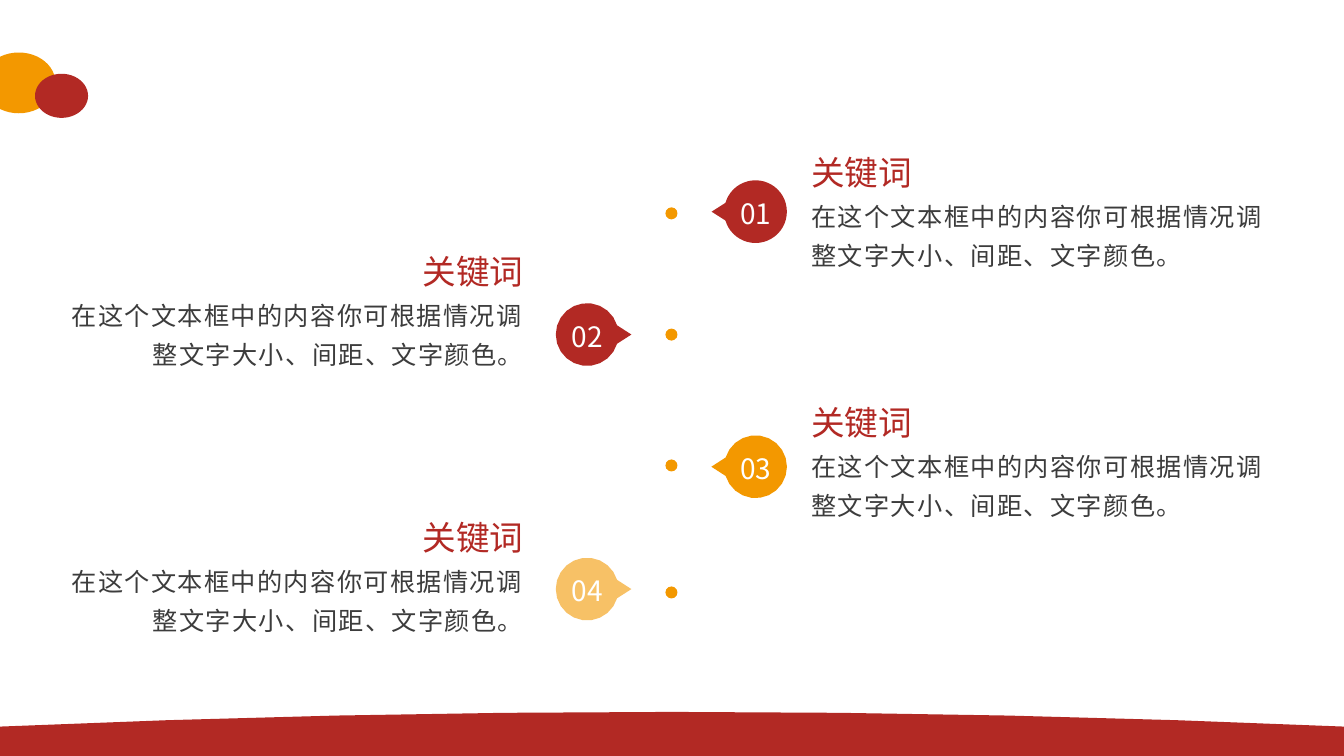
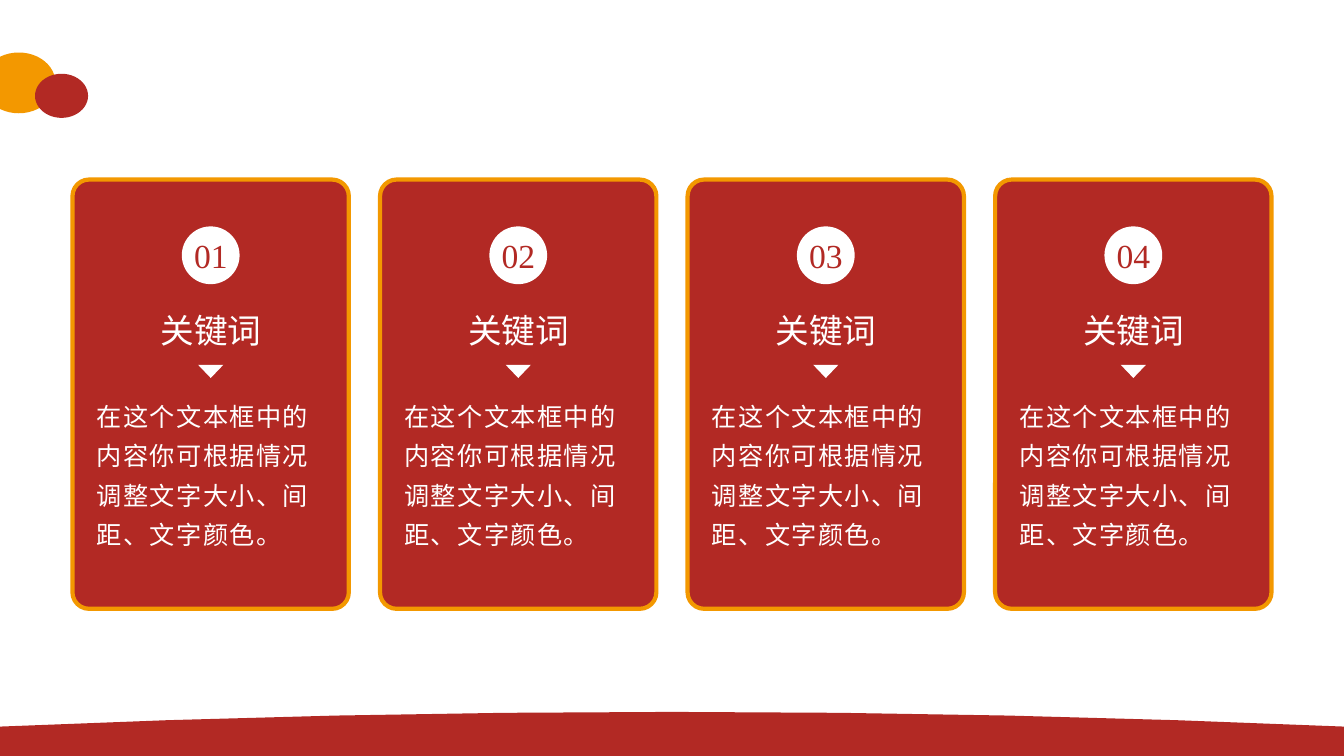
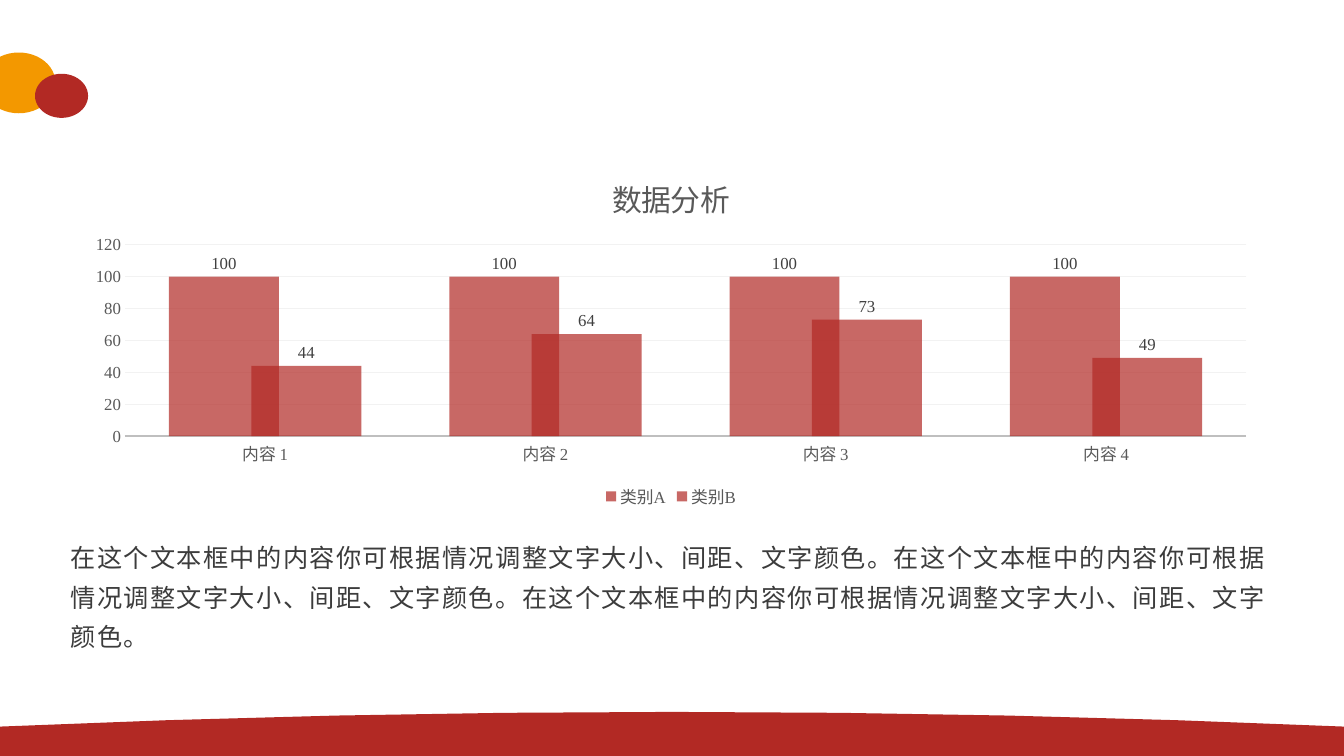
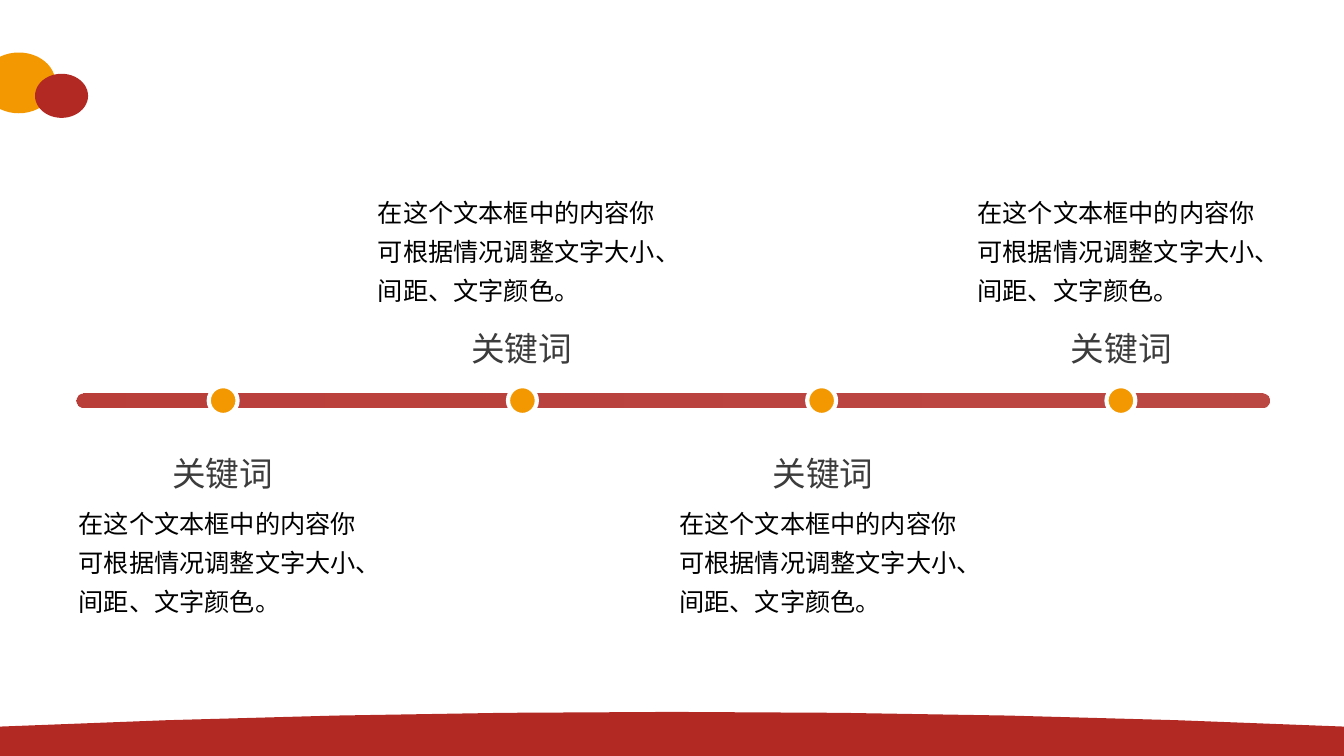
from math import cos, radians, sin

from lxml import etree
from pptx import Presentation
from pptx.chart.data import CategoryChartData
from pptx.dml.color import RGBColor
from pptx.enum.chart import XL_CHART_TYPE, XL_LABEL_POSITION, XL_LEGEND_POSITION, XL_TICK_MARK
from pptx.enum.shapes import MSO_SHAPE
from pptx.enum.text import MSO_AUTO_SIZE, PP_ALIGN
from pptx.oxml.ns import qn
from pptx.util import Pt

OVAL = MSO_SHAPE.OVAL
TRIANGLE = MSO_SHAPE.ISOSCELES_TRIANGLE
ROUNDED = MSO_SHAPE.ROUNDED_RECTANGLE
LEFT, CENTER, RIGHT = PP_ALIGN.LEFT, PP_ALIGN.CENTER, PP_ALIGN.RIGHT
NO_TICK = XL_TICK_MARK.NONE
OUTSIDE_END = XL_LABEL_POSITION.OUTSIDE_END
rgb = RGBColor.from_string

RED = "B22924"
ORANGE = "F39800"
WHITE = "FFFFFF"
BLACK = "000000"
DARK = "3C3C3C"
LABEL_GRAY = "404040"
AXIS_GRAY = "595959"
AXIS_LINE = "BFBFBF"
GRID_LINE = "F2F2F2"

SANS = "Noto Sans CJK SC"
BODY_FONT = "Arial"
SERIF = "Times New Roman"

KEYWORD = "关键词"
BODY = "在这个文本框中的内容你可根据情况调整文字大小、间距、文字颜色。"
WIDTH, HEIGHT = 960, 540


def paint(item, color, opacity=100, border=None):
    """Fill a shape or a chart format, with a 3 pt border or none, and no shadow."""
    item.fill.solid()
    item.fill.fore_color.rgb = rgb(color)
    if opacity < 100:
        solid_color = item.element.find(".//" + qn("a:solidFill") + "/" + qn("a:srgbClr"))
        etree.SubElement(solid_color, qn("a:alpha"), val=str(opacity * 1000))
    if border:
        item.line.color.rgb = rgb(border)
        item.line.width = Pt(3)
    else:
        item.line.fill.background()
    if hasattr(item, "shadow"):
        item.shadow.inherit = False


def add_text(slide, left, top, width, height, text, size, color, font,
             align=LEFT, line_spacing=None, tracking=0):
    box = slide.shapes.add_textbox(Pt(left), Pt(top), Pt(width), Pt(height))
    frame = box.text_frame
    frame.word_wrap = True
    frame.auto_size = MSO_AUTO_SIZE.SHAPE_TO_FIT_TEXT
    paragraph = frame.paragraphs[0]
    paragraph.alignment = align
    if line_spacing:
        paragraph.line_spacing = line_spacing
    run = paragraph.add_run()
    run.text = text
    run.font.size = Pt(size)
    run.font.color.rgb = rgb(color)
    run.font.name = font
    properties = run.font._element
    etree.SubElement(properties, qn("a:ea"), typeface=SANS)
    if tracking:
        properties.set("spc", str(tracking * 100))


presentation = Presentation()
presentation.slide_width = Pt(WIDTH)
presentation.slide_height = Pt(HEIGHT)
blank = presentation.slide_layouts[6]
for placeholder in list(blank.placeholders):
    blank.shapes.element.remove(placeholder.element)

bubble_slide, card_slide, chart_slide, timeline_slide = [
    presentation.slides.add_slide(blank) for _ in range(4)]

# Shared decoration: drawn once, then moved to the layout
large_dot = bubble_slide.shapes.add_shape(OVAL, Pt(-12.8), Pt(37.5), Pt(52.5), Pt(43.4))
small_dot = bubble_slide.shapes.add_shape(OVAL, Pt(25), Pt(52.7), Pt(37.9), Pt(31.5))

HILL_TOP, HILL_RISE, HILL_STEP = 508.5, 10.5, 120
hill_points = []
for x in range(0, WIDTH + 1, HILL_STEP):
    offset = (x - WIDTH / 2) / (WIDTH / 2)
    hill_points.append((Pt(x), Pt(HILL_TOP + HILL_RISE * offset ** 2)))
builder = bubble_slide.shapes.build_freeform(Pt(0), Pt(HEIGHT))
builder.add_line_segments(hill_points + [(Pt(WIDTH), Pt(HEIGHT))])
hill = builder.convert_to_shape()

for shape, color in ((large_dot, ORANGE), (small_dot, RED), (hill, RED)):
    paint(shape, color)
    blank.shapes.element.append(shape.element)

# Slide 1: numbered bubbles on both sides of a column of dots
RADIUS, TIP = 22.4, 31.6
DOT = 8.6
ARC_START, ARC_STEPS = 17, 20
ARC_STEP = (360 - 2 * ARC_START) / ARC_STEPS
sides = {
    # direction of the tip, bubble centre, heading left, body left, alignment
    "right": (-1, 539.7, 572.4, 572.4, LEFT),
    "left": (1, 419.4, 223.9, 31, RIGHT),
}
bubbles = [
    # number, side, bubble centre, dot centre, heading top, colour, opacity, one outline
    ("01", "right", 151.2, 152.4, 105, RED, 100, False),
    ("02", "left", 239, 239, 175.7, RED, 100, True),
    ("03", "right", 333.4, 332.5, 283.9, ORANGE, 100, True),
    ("04", "left", 420.8, 423.2, 365.8, ORANGE, 60, True),
]
for number, side, center_y, dot_y, heading_top, color, opacity, one_outline in bubbles:
    direction, center_x, heading_left, body_left, align = sides[side]
    dot = bubble_slide.shapes.add_shape(
        OVAL, Pt(479.6 - DOT / 2), Pt(dot_y - DOT / 2), Pt(DOT), Pt(DOT))
    paint(dot, ORANGE)

    if one_outline:
        outline = []
        for step in range(ARC_STEPS + 1):
            angle = radians(ARC_START + step * ARC_STEP)
            outline.append((Pt(center_x + direction * RADIUS * cos(angle)),
                            Pt(center_y + RADIUS * sin(angle))))
        builder = bubble_slide.shapes.build_freeform(
            Pt(center_x + direction * TIP), Pt(center_y))
        builder.add_line_segments(outline)
        bubble_parts = [builder.convert_to_shape()]
    else:
        circle = bubble_slide.shapes.add_shape(
            OVAL, Pt(center_x - RADIUS), Pt(center_y - RADIUS), Pt(2 * RADIUS), Pt(2 * RADIUS))
        pointer = bubble_slide.shapes.add_shape(
            TRIANGLE, Pt(504.7), Pt(center_y - 13.3), Pt(33.8), Pt(26.6))
        pointer.rotation = 270
        bubble_parts = [circle, pointer]
    for part in bubble_parts:
        paint(part, color, opacity)

    add_text(bubble_slide, center_x - 18, center_y - 14.4, 40.3, 31.5,
             number, 20, WHITE, SANS)
    add_text(bubble_slide, body_left, heading_top + 28.5, 350, 102,
             BODY, 18, DARK, BODY_FONT, align, 1.3, 1)
    add_text(bubble_slide, heading_left, heading_top, 157, 36,
             KEYWORD, 24, RED, SANS, align)

# Slide 2: four cards
CARD_LEFT, CARD_WIDTH, CARD_STEP = 51.8, 197.4, 219.68
BADGE = 41.3
for index in range(4):
    left = CARD_LEFT + index * CARD_STEP
    center = left + CARD_WIDTH / 2
    card = card_slide.shapes.add_shape(ROUNDED, Pt(left), Pt(128.3), Pt(CARD_WIDTH), Pt(306.6))
    card.adjustments[0] = 0.06
    paint(card, RED, border=ORANGE)
    add_text(card_slide, center - 101.4, 217.8, 203, 36, KEYWORD, 24, WHITE, SANS, CENTER)
    add_text(card_slide, center - 88.4, 276.8, 177, 149,
             BODY, 18, WHITE, BODY_FONT, LEFT, 1.3, 1)
    arrow = card_slide.shapes.add_shape(TRIANGLE, Pt(center - 9), Pt(260.6), Pt(18), Pt(9.4))
    arrow.rotation = 180
    paint(arrow, WHITE)
    badge = card_slide.shapes.add_shape(
        ROUNDED, Pt(center - BADGE / 2), Pt(161.7), Pt(BADGE), Pt(BADGE))
    badge.adjustments[0] = 0.5
    paint(badge, WHITE)
    add_text(card_slide, center - 36.6, 164.2, 73.4, 36,
             f"{index + 1:02}", 24, RED, SERIF, CENTER)

# Slide 3: column chart with a note
chart_data = CategoryChartData()
chart_data.categories = [f"内容 {number}" for number in range(1, 5)]
chart_data.add_series("类别A", (100, 100, 100, 100))
chart_data.add_series("类别B", (44, 64, 73, 49))
chart = chart_slide.shapes.add_chart(
    XL_CHART_TYPE.COLUMN_CLUSTERED, Pt(51.3), Pt(111.6), Pt(856), Pt(254.9), chart_data).chart
chart.font.name = SERIF
chart.font.size = Pt(10)
chart.font.color.rgb = rgb(BLACK)

chart.has_title = True
title_run = chart.chart_title.text_frame.paragraphs[0].add_run()
title_run.text = "数据分析"
title_run.font.bold = False
title_run.font.size = Pt(21.3)

chart.has_legend = True
chart.legend.position = XL_LEGEND_POSITION.BOTTOM
chart.legend.include_in_layout = False

category_axis, value_axis = chart.category_axis, chart.value_axis
for axis in (category_axis, value_axis):
    axis.major_tick_mark = axis.minor_tick_mark = NO_TICK
category_axis.format.line.color.rgb = rgb(AXIS_LINE)
category_axis.format.line.width = Pt(1.25)
value_axis.minimum_scale = 0
value_axis.maximum_scale = 120
value_axis.major_unit = 20
value_axis.format.line.fill.background()
value_axis.major_gridlines.format.line.color.rgb = rgb(GRID_LINE)
value_axis.major_gridlines.format.line.width = Pt(0.75)

plot = chart.plots[0]
plot.gap_width = 80
plot.overlap = 25
plot.vary_by_categories = False
label_fonts = []
for series in plot.series:
    series.invert_if_negative = False
    paint(series.format, RED, 70)
    series.data_labels.show_value = True
    series.data_labels.position = OUTSIDE_END
    label_fonts.append(series.data_labels.font)

for font in label_fonts:
    font.color.rgb = rgb(LABEL_GRAY)
axis_fonts = [category_axis.tick_labels.font, value_axis.tick_labels.font, chart.legend.font]
for font in axis_fonts + [title_run.font]:
    font.color.rgb = rgb(AXIS_GRAY)
for font in axis_fonts + label_fonts:
    font.size = Pt(12)
for font in axis_fonts + label_fonts + [title_run.font]:
    font.name = SERIF
    etree.SubElement(font._element, qn("a:ea"), typeface=SANS)

add_text(chart_slide, 43.3, 377.7, 873.4, 94.3, BODY * 3, 18, DARK, BODY_FONT, LEFT, 1.3, 1)

# Slide 4: timeline with texts below and above in turn
bar = timeline_slide.shapes.add_shape(ROUNDED, Pt(54.7), Pt(281.3), Pt(852.3), Pt(9.7))
bar.adjustments[0] = 0.5
paint(bar, RED)
bar.fill.gradient()
bar.fill.gradient_angle = 0
for stop in bar.fill.gradient_stops:
    stop.color.rgb = rgb(RED)
for stop_color, opacity in zip(bar.element.iter(qn("a:srgbClr")), (90, 85)):
    etree.SubElement(stop_color, qn("a:alpha"), val=str(opacity * 1000))

MARKER = 20.6
for index, text_center in enumerate((159, 372.7, 588, 801)):
    marker_center = 159.4 + index * 213.75
    heading_top, body_top = ((311, 353), (221.8, 130.8))[index % 2]
    marker = timeline_slide.shapes.add_shape(
        OVAL, Pt(marker_center - MARKER / 2), Pt(286.1 - MARKER / 2), Pt(MARKER), Pt(MARKER))
    paint(marker, ORANGE, border=WHITE)
    add_text(timeline_slide, text_center - 85.3, heading_top, 170.6, 42.5,
             KEYWORD, 24, DARK, SANS, CENTER, 1.3)
    add_text(timeline_slide, text_center - 109.9, body_top, 219.6, 89.3,
             BODY, 18, BLACK, SERIF, LEFT, 1.3)

presentation.save("out.pptx")
